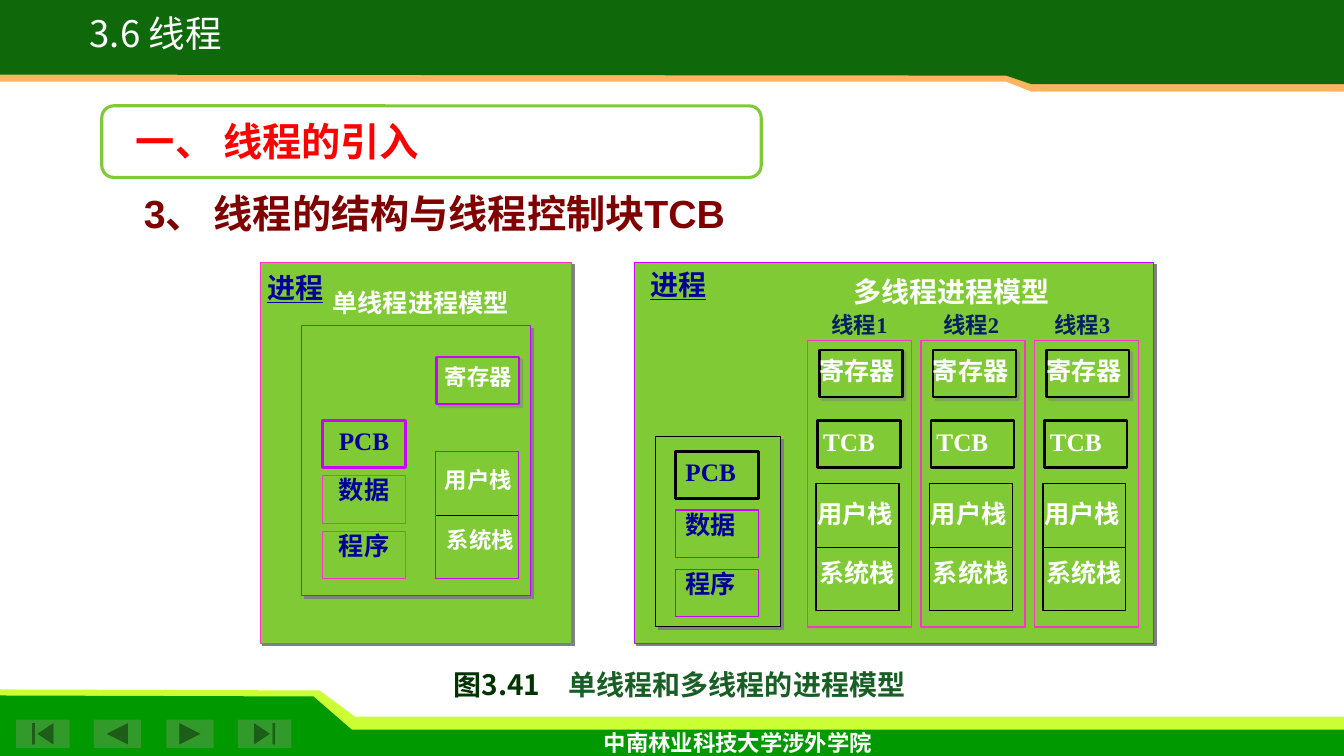
from lxml import etree
from pptx import Presentation
from pptx import util as u
from pptx.dml import color
from pptx.enum import shapes, text
from pptx.oxml import ns

HUE = {"white": "FFFFFF", "black": "000000", "lime": "80CB35", "pink": "FF33CC",
       "violet": "CC00FF", "navy": "000099", "blue": "002060", "red": "FF0000",
       "maroon": "800000", "pine": "003300", "moss": "185E25", "dark": "0F690B",
       "sand": "FBB561", "leaf": "009900", "neon": "CCFF33", "key": "329A2A",
       "grey": "808080"}
COLS, ROWS = 133.3, 75
CELL = u.Inches(0.1)
BOX = (8.2, 4.7)
NAME = (10.3, 4.7)
SERIF, SANS = "Times New Roman", "Noto Sans CJK SC"
KIND = shapes.MSO_SHAPE
MID, LEFT = text.PP_ALIGN.CENTER, text.PP_ALIGN.LEFT


def rgb(name):
    """Return the named colour."""
    return color.RGBColor.from_string(HUE[name])


def grid(*cells):
    """Turn grid cells of a tenth of an inch into lengths."""
    return [round(c * CELL) for c in cells]


def put(item, vals):
    """Set every attribute in a dict of format values."""
    for key, val in vals.items():
        setattr(item, key, val)


def fade(shape, share):
    """Set the opacity of a solid fill in percent."""
    tone = shape._element.spPr.find(ns.qn("a:solidFill"))[0]
    etree.SubElement(tone, ns.qn("a:alpha")).set("val", str(share * 1000))


def shade(shape, share):
    """Cast a sharp grey shadow down and to the right."""
    fx = shape._element.spPr.find(ns.qn("a:effectLst"))
    cast = etree.SubElement(fx, ns.qn("a:outerShdw"), dist=str(u.Pt(2.8)),
                            dir="2700000", algn="ctr", rotWithShape="0")
    tone = etree.SubElement(cast, ns.qn("a:srgbClr"), val=HUE["grey"])
    etree.SubElement(tone, ns.qn("a:alpha"), val=str(share * 1000))


def paint(shape, fill, line=None, width=0.75):
    """Set the fill and the outline, and drop the theme shadow."""
    shape.shadow.inherit = False
    if fill:
        shape.fill.solid()
        shape.fill.fore_color.rgb = rgb(fill)
    else:
        shape.fill.background()
    if line:
        shape.line.color.rgb = rgb(line)
        shape.line.width = u.Pt(width)
    else:
        shape.line.fill.background()


def write(shape, runs, size, align=LEFT, font=SERIF, wrap=True, **more):
    """Write one paragraph from pairs of wording and colour."""
    frame = shape.text_frame
    put(frame, {"word_wrap": wrap, "vertical_anchor": text.MSO_ANCHOR.TOP})
    para = frame.paragraphs[0]
    para.alignment = align
    for words, tone in runs:
        run = para.add_run()
        run.text = words
        put(run.font, {"size": u.Pt(size), "name": font, "bold": True, **more})
        run.font.color.rgb = rgb(tone)


def box(slide, at, line=None, width=0.75, fill="lime", cast=0, kind=KIND.RECTANGLE):
    """Draw a preset shape."""
    shape = slide.shapes.add_shape(kind, *grid(*at))
    paint(shape, fill, line, width)
    if cast:
        shade(shape, cast)
    return shape


def label(slide, at, words, tone, size, **more):
    """Draw a text box of one colour."""
    area = slide.shapes.add_textbox(*grid(*at))
    write(area, [(words, tone)], size, **more)
    return area


def band(slide, fill, *spots):
    """Draw a filled outline through grid spots."""
    dots = [grid(*spot) for spot in spots]
    pen = slide.shapes.build_freeform(*dots[0], scale=1)
    pen.add_line_segments(dots[1:], close=True)
    shape = pen.convert_to_shape()
    paint(shape, fill)
    return shape


def stack(slide, x, y, line, width):
    """Draw a box that is split at half its height."""
    pile = box(slide, (x, y, 8.2, 12.6), line, width)
    rule = slide.shapes.add_connector(shapes.MSO_CONNECTOR.STRAIGHT, 0, 0, 0, 0)
    rule.begin_connect(pile, 1)
    rule.end_connect(pile, 3)
    rule.line.color.rgb = rgb("black")
    rule.line.width = u.Pt(0.75)
    etree.SubElement(rule._element.spPr, ns.qn("a:effectLst"))


def block(slide, x, tops, lines, align):
    """Draw the PCB, data and program boxes of a process."""
    pcb, *rest = tops
    first = box(slide, (x, pcb, *BOX), lines[0], 2)
    write(first, [("PCB", "navy")], 18, align)
    for words, y, fill in zip(("数据", "程序"), rest, ("lime", None)):
        box(slide, (x, y, *BOX), lines[1], fill=fill)
        label(slide, (x, y - 0.6, *BOX), words, "navy", 18, align=align)


def thread(slide, num):
    """Draw one thread column of the multi-thread model."""
    x = 80.1 + 11.25 * num
    box(slide, (x, 33.8, 10.3, 28.4), "pink", 1)
    stack(slide, x + 0.85, 48, "black", 1)
    box(slide, (x + 1, 41.7, *BOX), "black", 1.75)
    box(slide, (x + 1.2, 34.7, *BOX), "black", 1.75, cast=50)
    for words, dx, y in (("用户栈", 0, 48.9), ("系统栈", 0.2, 54.8),
                         ("TCB", 0.55, 41.8), ("寄存器", 0.2, 34.8)):
        label(slide, (x + dx, y, *NAME), words, "white", 18)
    label(slide, (81.5 + 11.05 * num, 30.4, 8.9, 4.3), f"线程{num + 1}", "blue", 16)


def single(slide):
    """Draw the single-thread process model."""
    box(slide, (25.8, 26, 30.9, 37.8), "pink", cast=100)
    box(slide, (29.9, 32.3, 22.7, 26.8), "violet", cast=100)
    stack(slide, 43.2, 44.8, "violet", 1)
    block(slide, 32, (41.7, 47.2, 52.7), ("violet", "pink"), MID)
    box(slide, (43.3, 35.4, *BOX), "violet", 1.75, cast=50)
    for words, x, y in (("用户栈", 42.3, 45.8), ("系统栈", 42.5, 51.7),
                        ("寄存器", 42.3, 35.5)):
        label(slide, (x, y, *NAME), words, "white", 16, align=MID)
    label(slide, (32, 28, 22.8, 4.7), "单线程进程模型", "white", 18)
    label(slide, (25.5, 26.3, 9.5, 4.7), "进程", "navy", 20, underline=True)


def multi(slide):
    """Draw the multi-thread process model."""
    box(slide, (62.9, 26, 51.5, 37.8), "violet", cast=100)
    box(slide, (65, 43.3, 12.4, 18.9), "black", cast=100)
    block(slide, 67, (44.8, 50.6, 56.5), ("black", "violet"), LEFT)
    head = box(slide, (82.5, 26.7, 23.7, 4.7))
    write(head, [("多线程进程模型", "white")], 20, MID)
    for num in range(3):
        thread(slide, num)
    label(slide, (63.5, 26, 9.7, 4.7), "进程", "navy", 20, underline=True)


def frame(slide):
    """Draw the header, the footer and the page buttons."""
    band(slide, "neon", (0, 68.4), (31.7, 68.5), (35.2, 71.1), (COLS, 71.1),
         (COLS, 74), (0, 74))
    band(slide, "leaf", (0, 69), (31.1, 69.1), (34.9, 72.4), (COLS, 72.4),
         (COLS, ROWS), (0, ROWS))
    for kind, x, wide in ((KIND.ACTION_BUTTON_BEGINNING, 1.6, 5.3),
                          (KIND.ACTION_BUTTON_BACK_OR_PREVIOUS, 9.3, 4.7),
                          (KIND.ACTION_BUTTON_FORWARD_OR_NEXT, 16.5, 4.7),
                          (KIND.ACTION_BUTTON_END, 23.6, 5.3)):
        box(slide, (x, 71.4, wide, 2.8), fill="key", kind=kind)
    for fill, low, left, right in (("sand", 9.1, 8.1, 8.1), ("dark", 8.35, 7.4, 7.5)):
        band(slide, fill, (COLS, 0), (0, 0), (0, left), (99.8, right),
             (102.3, low), (COLS, low))
    fade(band(slide, "white", (100.6, 9.1), (132, 9.1), (131.9, 9.6), (101.9, 9.7)), 30)
    label(slide, (58.9, 71.8, 28.9, 3.2), "中南林业科技大学涉外学院", "white", 16,
          font="Karla", wrap=False)


def titles(slide):
    """Write the headings and the caption."""
    pill = box(slide, (10.1, 10.5, 65.4, 7.1), "lime", 2.25, "white",
               kind=KIND.ROUNDED_RECTANGLE)
    fade(pill, 90)
    label(slide, (13.3, 18.3, 71.6, 5.7), "3、 线程的结构与线程控制块TCB", "maroon", 28,
          font="Arial")
    label(slide, (12.5, 11.1, 57.5, 5.7), "一、 线程的引入", "red", 28)
    name = label(slide, (5.2, 1.4, 20.5, 4.6), "3.6 线程", "white", 26.1,
                 align=MID, font=SANS, wrap=False, bold=False)
    name.text_frame.paragraphs[0].line_spacing = 0.8
    note = slide.shapes.add_textbox(*grid(35.5, 65.7, 63.8, 5.2))
    write(note, [("图3.41　", "pine"), ("单线程和多线程的进程模型", "moss")], 20, MID)
    note.text_frame.paragraphs[0].runs[0].font.name = SANS


def main():
    """Build the slide and save it."""
    deck = Presentation()
    put(deck, dict(zip(("slide_width", "slide_height"), grid(COLS, ROWS))))
    slide = deck.slides.add_slide(deck.slide_layouts[6])
    for draw in (frame, single, multi, titles):
        draw(slide)
    deck.save("out.pptx")


if __name__ == "__main__":
    main()
